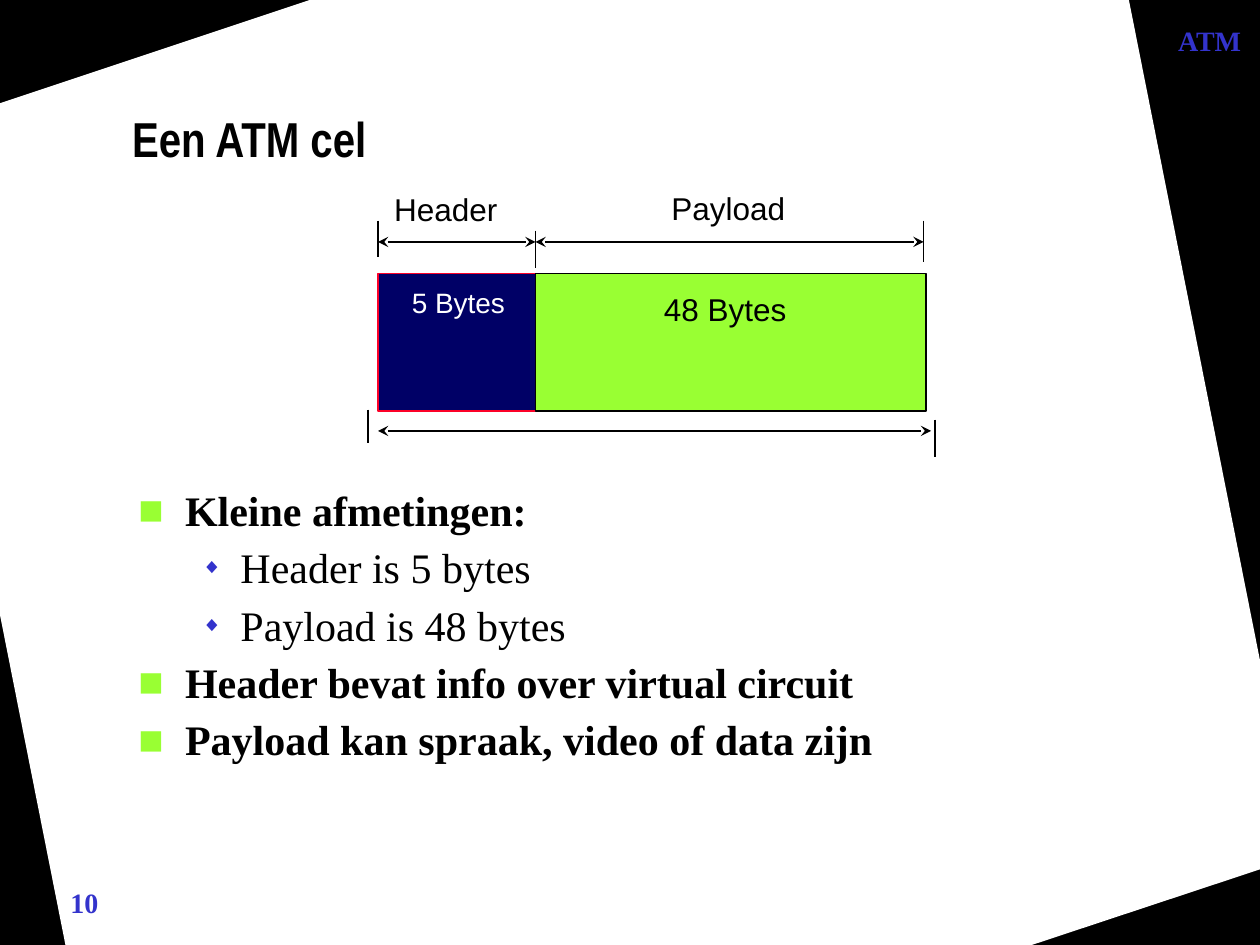
from pptx import Presentation
from pptx.dml.color import RGBColor
from pptx.enum.shapes import MSO_CONNECTOR, MSO_SHAPE
from pptx.enum.text import MSO_ANCHOR, PP_ALIGN
from pptx.oxml.ns import qn
from pptx.util import Inches, Pt
from lxml import etree

BLACK = RGBColor(0x00, 0x00, 0x00)
WHITE = RGBColor(0xFF, 0xFF, 0xFF)
BLUE = RGBColor(0x33, 0x33, 0xCC)
NAVY = RGBColor(0x00, 0x00, 0x66)
RED = RGBColor(0xFC, 0x01, 0x28)
LIME = RGBColor(0x99, 0xFF, 0x33)
SERIF, SANS, NARROW = "Times New Roman", "Arial", "Arial Narrow"
LEFT, CENTER, RIGHT = PP_ALIGN.LEFT, PP_ALIGN.CENTER, PP_ALIGN.RIGHT
TOP, MIDDLE = MSO_ANCHOR.TOP, MSO_ANCHOR.MIDDLE
RECTANGLE, STRAIGHT = MSO_SHAPE.RECTANGLE, MSO_CONNECTOR.STRAIGHT

PAPER_OUTLINE = [(8.96, 0), (2.46, 0), (0, 0.82), (0, 4.88), (0.52, 7.5),
                 (8.19, 7.5), (10, 6.9), (10, 5.24)]
# bullet character, colour, size in percent, indent, hanging, bold
LEVELS = [("■", LIME, 100, 0.37, 0.37, True),
          ("◆", BLUE, 50, 0.81, 0.31, False)]
POINTS = [(0, "Kleine afmetingen:"),
          (1, "Header is 5 bytes"),
          (1, "Payload is 48 bytes"),
          (0, "Header bevat info over virtual circuit"),
          (0, "Payload kan spraak, video of data zijn")]


def add_frame(page, left, top, width, height, inset_top=0.05, inset_side=0.1, wrap=True):
    box = page.shapes.add_textbox(Inches(left), Inches(top), Inches(width), Inches(height))
    frame = box.text_frame
    frame.word_wrap = wrap
    frame.margin_left = frame.margin_right = Inches(inset_side)
    frame.margin_top = Inches(inset_top)
    return frame


def add_span(para, text, size, font, color, bold=False):
    span = para.add_run()
    span.text = text
    span.font.size = Pt(size)
    span.font.name = font
    span.font.bold = bold
    span.font.color.rgb = color


def add_label(page, text, left, top, width, height, size, font, color,
              bold=False, align=LEFT, anchor=TOP, **frame_options):
    frame = add_frame(page, left, top, width, height, **frame_options)
    frame.vertical_anchor = anchor
    para = frame.paragraphs[0]
    para.alignment = align
    add_span(para, text, size, font, color, bold)


def add_line(page, start_x, start_y, end_x, end_y, arrows=False):
    line = page.shapes.add_connector(STRAIGHT, Inches(start_x), Inches(start_y),
                                     Inches(end_x), Inches(end_y))
    line.line.color.rgb = BLACK
    line.line.width = Pt(1)
    properties = line._element.spPr
    if arrows:
        outline = properties.find(qn("a:ln"))
        for end in ("a:headEnd", "a:tailEnd"):
            etree.SubElement(outline, qn(end), type="stealth")
    etree.SubElement(properties, qn("a:effectLst"))


def add_block(page, left, top, width, height, fill, outline):
    block = page.shapes.add_shape(RECTANGLE, Inches(left), Inches(top),
                                  Inches(width), Inches(height))
    block.shadow.inherit = False
    block.fill.solid()
    block.fill.fore_color.rgb = fill
    block.line.color.rgb = outline
    block.line.width = Pt(1)


def set_bullet(para, character, color, percent, indent, hanging):
    properties = para._p.get_or_add_pPr()
    properties.set("marL", str(Inches(indent)))
    properties.set("indent", str(-Inches(hanging)))
    bullet_color = etree.SubElement(properties, qn("a:buClr"))
    etree.SubElement(bullet_color, qn("a:srgbClr"), val=str(color))
    etree.SubElement(properties, qn("a:buSzPct"), val=str(percent * 1000))
    etree.SubElement(properties, qn("a:buFont"), typeface=SERIF)
    etree.SubElement(properties, qn("a:buChar"), char=character)


def draw_backdrop(page):
    page.background.fill.solid()
    page.background.fill.fore_color.rgb = BLACK
    corners = [(Inches(x), Inches(y)) for x, y in PAPER_OUTLINE]
    builder = page.shapes.build_freeform(*corners[0])
    builder.add_line_segments(corners[1:], close=True)
    paper = builder.convert_to_shape()
    paper.shadow.inherit = False
    paper.fill.solid()
    paper.fill.fore_color.rgb = WHITE
    paper.line.fill.background()


def draw_cell(page, left, top, header_width, payload_width, height):
    split, right, bottom = left + header_width, left + header_width + payload_width, top + height
    add_block(page, left, top, header_width, height, NAVY, RED)
    add_block(page, split, top, payload_width, height, LIME, BLACK)

    # Dimension arrows
    upper, lower = top - 0.25, bottom + 0.16
    for start, end, y in ((left, split, upper), (split, right - 0.02, upper),
                          (left, right + 0.04, lower)):
        add_line(page, start, y, end, y, arrows=True)

    # Limit ticks
    for x, tick_top, length in ((left, top - 0.42, 0.29), (split, top - 0.34, 0.3),
                                (right - 0.02, top - 0.42, 0.33),
                                (left - 0.08, bottom - 0.01, 0.27),
                                (right + 0.07, bottom + 0.07, 0.3)):
        add_line(page, x, tick_top, x, tick_top + length)

    # Names above and sizes inside
    add_label(page, "Header", left + 0.03, top - 0.71, 1.26, 0.4, 18, SANS, BLACK)
    add_label(page, "Payload", split + 0.98, top - 0.72, 1.44, 0.4, 18, SANS, BLACK)
    add_label(page, "5 Bytes", left + 0.17, top + 0.05, 0.94, 0.37, 16, SANS, WHITE, wrap=False)
    add_label(page, "48 Bytes", split + 0.92, top + 0.08, 1.17, 0.4, 18, SANS, BLACK, wrap=False)


def draw_points(page, left, top, width, height):
    frame = add_frame(page, left, top, width, height, inset_top=0.07)
    for number, (level, text) in enumerate(POINTS):
        para = frame.add_paragraph() if number else frame.paragraphs[0]
        *bullet, bold = LEVELS[level]
        para.level = level
        para.line_spacing = 0.93
        para.space_before = Pt(6)
        set_bullet(para, *bullet)
        add_span(para, text, 24, SERIF, BLACK, bold)


def main():
    deck = Presentation()
    deck.slide_width, deck.slide_height = Inches(10), Inches(7.5)
    page = deck.slides.add_slide(deck.slide_layouts[6])
    draw_backdrop(page)
    add_label(page, "10", 0.28, 6.98, 0.78, 0.33, 16, SERIF, BLUE, bold=True, align=CENTER)
    draw_points(page, 1, 3.81, 8.72, 2.59)
    draw_cell(page, 3, 2.17, 1.25, 3.1, 1.09)
    add_label(page, "Een ATM cel", 0.95, 0.79, 8.5, 0.58, 28, NARROW, BLACK,
              bold=True, anchor=MIDDLE, inset_top=0.07)
    add_label(page, "ATM", 9.14, 0.17, 0.71, 0.27, 16, SERIF, BLUE, bold=True,
              align=RIGHT, inset_top=0.02, inset_side=0)
    deck.save("out.pptx")


if __name__ == "__main__":
    main()
